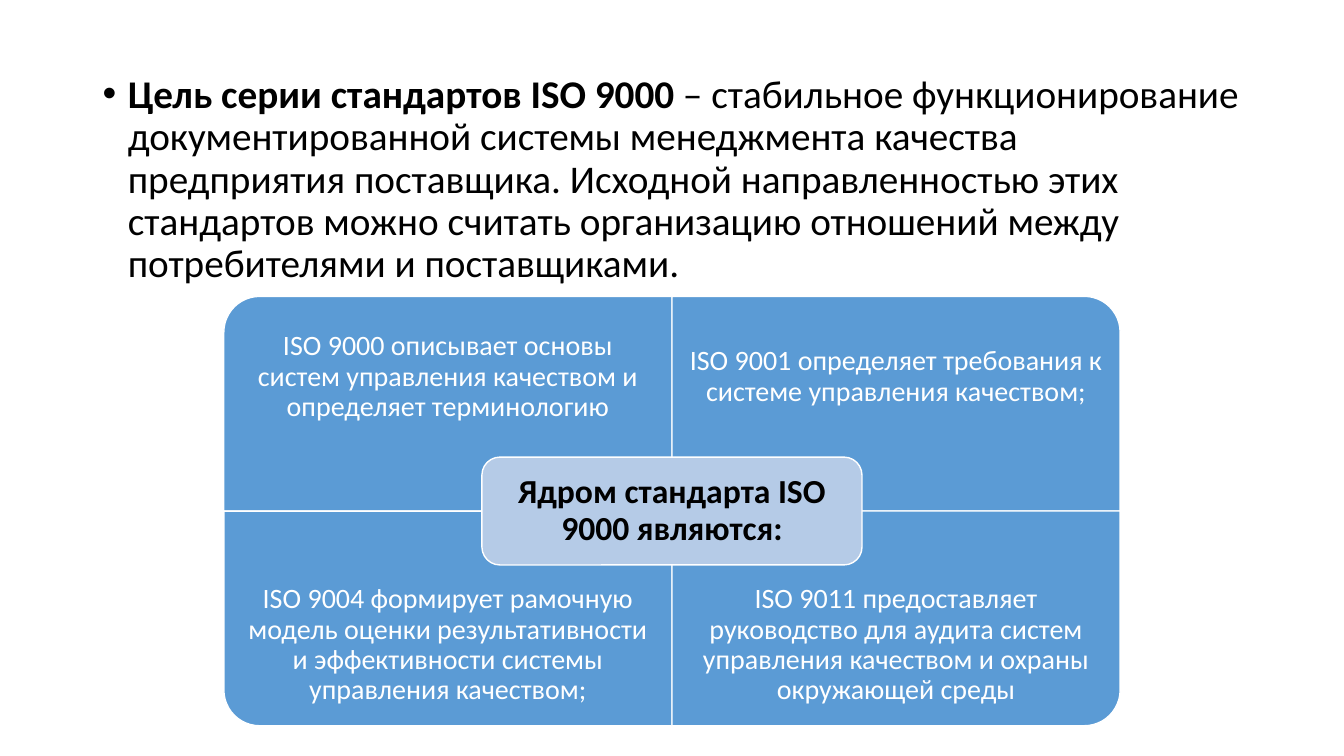
"""Builds a slide on the purpose and the core of the ISO 9000 standards."""
from lxml import etree
from pptx import Presentation
from pptx.dml.color import RGBColor
from pptx.enum.shapes import MSO_SHAPE
from pptx.enum.text import MSO_ANCHOR, PP_ALIGN
from pptx.oxml.ns import qn
from pptx.util import Inches, Pt

ROUND_ONE = MSO_SHAPE.ROUND_1_RECTANGLE
ROUND_ALL = MSO_SHAPE.ROUNDED_RECTANGLE
TOP, MIDDLE = MSO_ANCHOR.TOP, MSO_ANCHOR.MIDDLE
LEFT, CENTER = PP_ALIGN.LEFT, PP_ALIGN.CENTER

BLACK, WHITE, BLUE, PALE_BLUE = "000000", "FFFFFF", "5B9BD5", "B5CBE7"
GRID_LEFT, GRID_TOP = 2.22, 2.94
CELL_WIDTH, CELL_HEIGHT, CELL_TEXT_HEIGHT = 4.445, 2.13, 1.6
CORE_WIDTH, CORE_HEIGHT = 3.77, 1.07

PURPOSE = [
    ("Цель серии стандартов ISO 9000 ", True),
    ("– стабильное функционирование документированной системы менеджмента "
     "качества предприятия поставщика. Исходной направленностью этих "
     "стандартов можно считать организацию отношений между потребителями "
     "и поставщиками.", False),
]
CORE = "Ядром стандарта ISO 9000 являются:"
STANDARDS = [
    ("ISO 9000 описывает основы систем управления качеством и определяет "
     "терминологию", 270),
    ("ISO 9001 определяет требования к системе управления качеством;", 0),
    ("ISO 9004 формирует рамочную модель оценки результативности и "
     "эффективности системы управления качеством;", 180),
    ("ISO 9011 предоставляет руководство для аудита систем управления "
     "качеством и охраны окружающей среды", 90),
]


def color(value):
    return RGBColor.from_string(value)


def write(frame, runs, size, fill, align=CENTER, anchor=MIDDLE, inset=0.16, before=0):
    frame.word_wrap = True
    frame.vertical_anchor = anchor
    frame.margin_left = frame.margin_right = Inches(inset)
    frame.margin_top = frame.margin_bottom = Inches(min(inset, 0.16))
    paragraph = frame.paragraphs[0]
    paragraph.alignment = align
    paragraph.line_spacing = 0.9
    paragraph.space_before = Pt(before)
    for text, bold in runs:
        run = paragraph.add_run()
        run.text = text
        run.font.name = "Calibri"
        run.font.size = Pt(size)
        run.font.bold = bold
        run.font.color.rgb = color(fill)
    return paragraph


class SlideBuilder:
    def __init__(self, slide):
        self.slide = slide

    def text(self, left, top, width, height, runs, size, fill, **style):
        box = self.slide.shapes.add_textbox(
            Inches(left), Inches(top), Inches(width), Inches(height))
        return write(box.text_frame, runs, size, fill, **style)

    def bullet(self, *place, **style):
        paragraph = self.text(*place, align=LEFT, anchor=TOP, **style)
        properties = paragraph._p.get_or_add_pPr()
        properties.set("marL", str(Inches(0.25)))
        properties.set("indent", str(Inches(-0.25)))
        etree.SubElement(properties, qn("a:buFont")).set("typeface", "Arial")
        etree.SubElement(properties, qn("a:buChar")).set("char", "•")

    def panel(self, kind, center_x, center_y, width, height, fill, rotation=0):
        if rotation % 180:
            width, height = height, width
        shape = self.slide.shapes.add_shape(
            kind, Inches(center_x - width / 2), Inches(center_y - height / 2),
            Inches(width), Inches(height))
        shape.rotation = rotation
        shape.shadow.inherit = False
        shape.fill.solid()
        shape.fill.fore_color.rgb = color(fill)
        shape.line.color.rgb = color(WHITE)
        shape.line.width = Pt(1)
        return shape

    def quadrant(self, index, text, rotation):
        row, column = divmod(index, 2)
        left = GRID_LEFT + column * CELL_WIDTH
        top = GRID_TOP + row * CELL_HEIGHT
        self.panel(ROUND_ONE, left + CELL_WIDTH / 2, top + CELL_HEIGHT / 2,
                   CELL_WIDTH, CELL_HEIGHT, BLUE, rotation)
        text_top = top + row * (CELL_HEIGHT - CELL_TEXT_HEIGHT)
        self.text(left, text_top, CELL_WIDTH, CELL_TEXT_HEIGHT,
                  [(text, False)], 20, WHITE)


def main():
    presentation = Presentation()
    presentation.slide_width, presentation.slide_height = Inches(13.33), Inches(7.5)
    builder = SlideBuilder(presentation.slides.add_slide(presentation.slide_layouts[6]))
    builder.bullet(0.92, 0.64, 11.5, 2.3, PURPOSE, 28, BLACK, inset=0.1, before=10)
    for index, (text, rotation) in enumerate(STANDARDS):
        builder.quadrant(index, text, rotation)
    core = builder.panel(ROUND_ALL, GRID_LEFT + CELL_WIDTH, GRID_TOP + CELL_HEIGHT,
                         CORE_WIDTH, CORE_HEIGHT, PALE_BLUE)
    write(core.text_frame, [(CORE, True)], 24, BLACK, inset=0.1)
    presentation.save("out.pptx")


if __name__ == "__main__":
    main()
